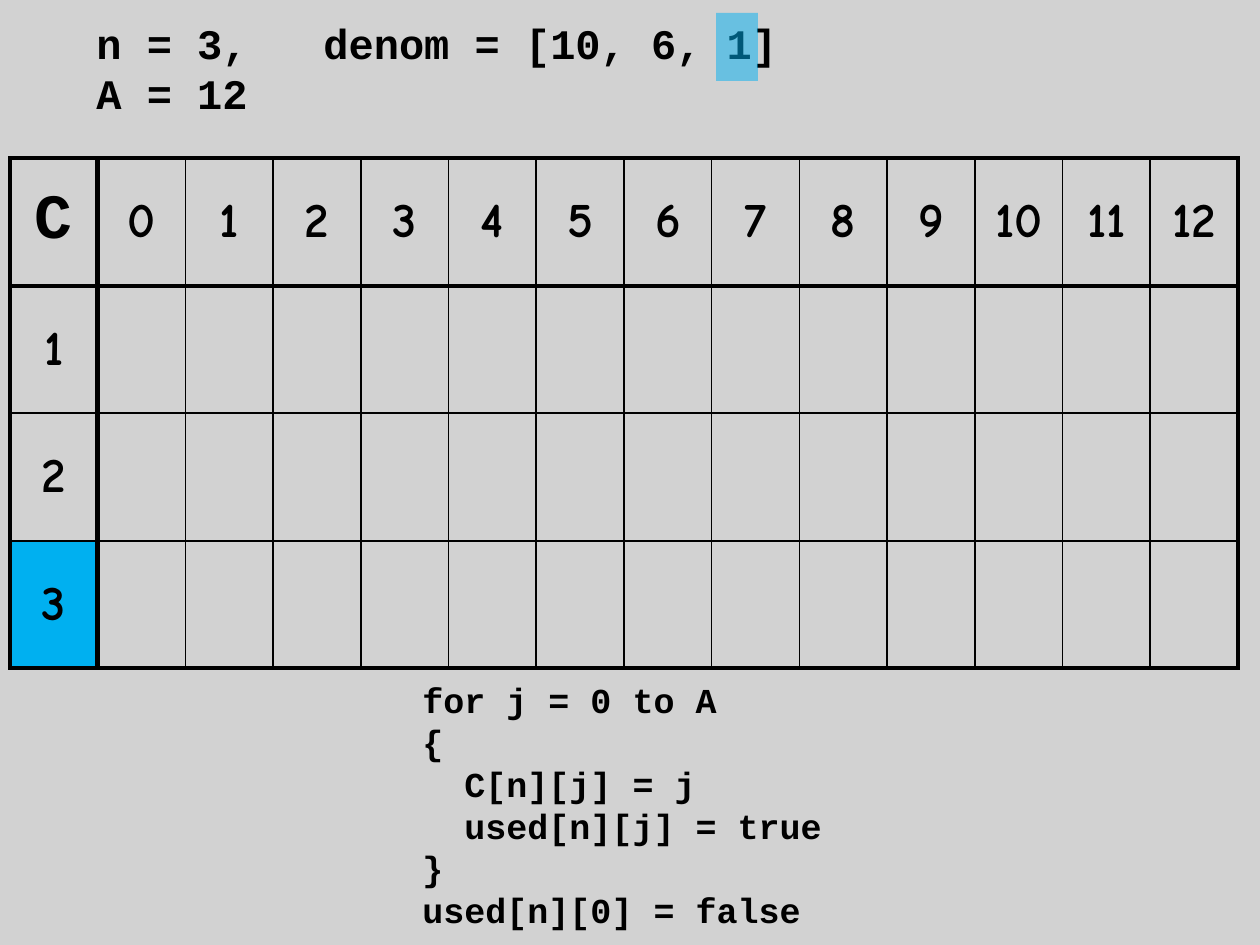
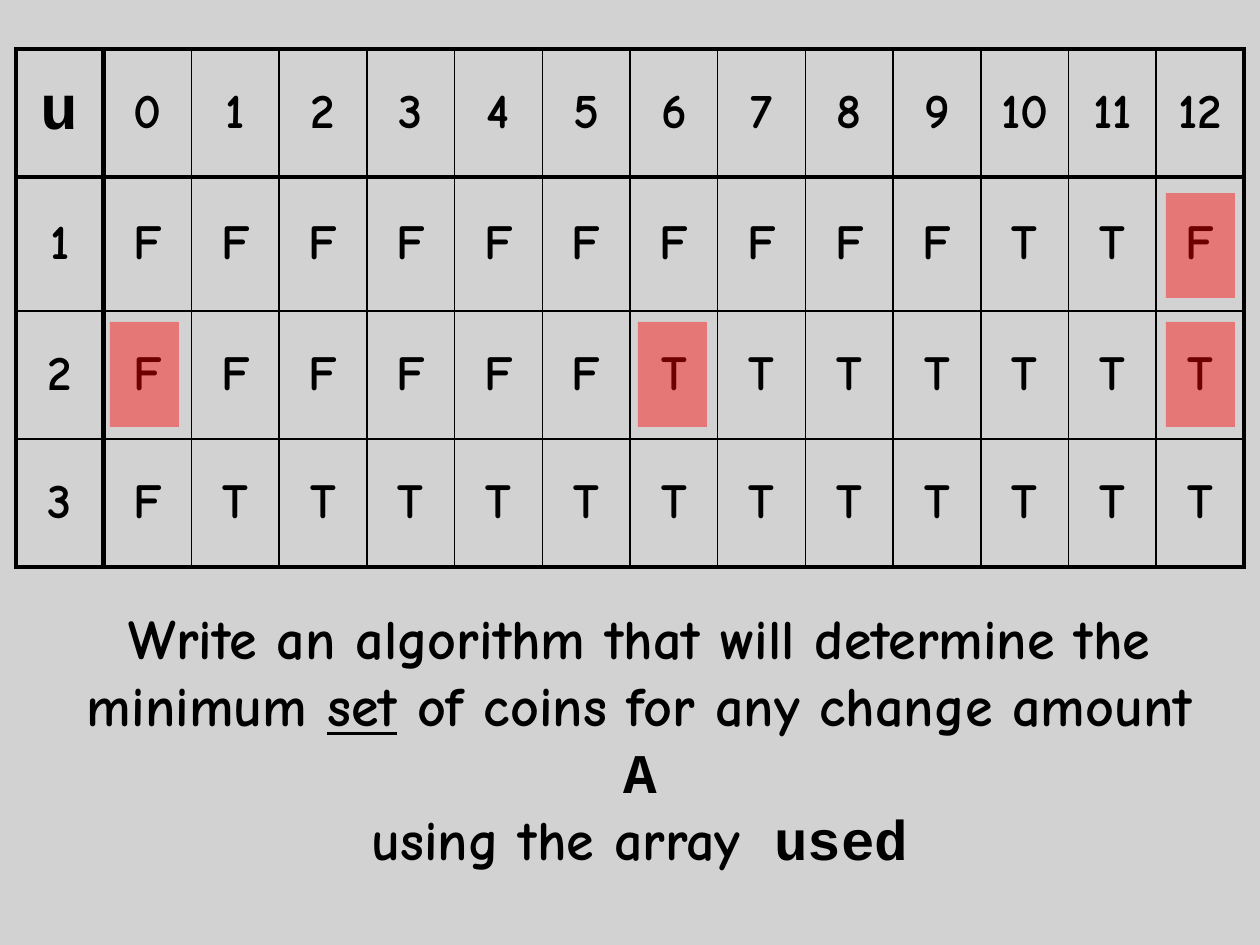
from lxml import etree
from pptx import Presentation
from pptx.dml.color import RGBColor
from pptx.enum.shapes import MSO_SHAPE
from pptx.enum.text import MSO_ANCHOR, MSO_AUTO_SIZE, PP_ALIGN
from pptx.oxml.ns import qn
from pptx.util import Emu, Pt

RECTANGLE = MSO_SHAPE.RECTANGLE
MIDDLE = MSO_ANCHOR.MIDDLE
FIT_TEXT = MSO_AUTO_SIZE.SHAPE_TO_FIT_TEXT
CENTER = PP_ALIGN.CENTER
LEFT = PP_ALIGN.LEFT

EMU_PER_PX = 914400 / 126
SLIDE_W, SLIDE_H = 1260, 945
BLANK_LAYOUT = 6

COLORS = {
    "backdrop": "C0C0C0",
    "ink": "000000",
    "current": "00B0F0",
    "visited": "FF0000",
}
CODE, HAND = "Courier New", "Comic Neue"

AMOUNTS = range(13)
GRID_W = 1228
OUTER, HEADER, INNER = 2.25, 3, 1


def px(length):
    return Emu(round(length * EMU_PER_PX))


def rgb(name):
    return RGBColor.from_string(COLORS[name])


def add_run(paragraph, text, font, size, **extra):
    run = paragraph.add_run()
    run.text = text
    style = {"name": font, "size": Pt(size), "bold": True, **extra}
    for attribute, value in style.items():
        setattr(run.font, attribute, value)
    run.font.color.rgb = rgb("ink")


def add_tint(slide, box, color, opacity):
    """Add a borderless rectangle whose opacity is given in percent."""
    tint = slide.shapes.add_shape(RECTANGLE, *map(px, box))
    tint.shadow.inherit = False
    tint.line.fill.background()
    tint.fill.solid()
    tint.fill.fore_color.rgb = rgb(color)
    fill_color = tint.fill._xPr.find(qn("a:solidFill"))[0]
    etree.SubElement(fill_color, qn("a:alpha"), val=str(opacity * 1000))


def add_text(slide, box, paragraphs, size, align=LEFT):
    """Each paragraph is a list of (text, font, extra font values)."""
    frame = slide.shapes.add_textbox(*map(px, box)).text_frame
    frame.word_wrap = True
    frame.auto_size = FIT_TEXT
    for index, pieces in enumerate(paragraphs):
        paragraph = frame.add_paragraph() if index else frame.paragraphs[0]
        paragraph.alignment = align
        for text, font, extra in pieces:
            add_run(paragraph, text, font, size, **extra)
    return frame


def code_lines(source):
    return [[(line, CODE, {})] for line in source.split("\n")]


def add_tab_stop(paragraph, position):
    stops = etree.SubElement(paragraph._p.get_or_add_pPr(), qn("a:tabLst"))
    etree.SubElement(stops, qn("a:tab"), pos=str(px(position)), algn="l")


def rule_widths(cells):
    """Widths of the rules around and between a number of cells."""
    return [OUTER, HEADER] + [INNER] * (cells - 2) + [OUTER]


def add_border(cell, side, width):
    line = etree.SubElement(cell._tc.get_or_add_tcPr(), qn(f"a:ln{side}"),
                            w=str(Pt(width)))
    fill = etree.SubElement(line, qn("a:solidFill"))
    etree.SubElement(fill, qn("a:srgbClr"), val=COLORS["ink"])


def add_coin_table(slide, left, top, heights, array_name, coin_rows, current=None):
    """Draw an array with one row a coin and one column an amount."""
    rows = [[array_name, *AMOUNTS]]
    rows += [[coin, *values] for coin, values in enumerate(coin_rows, 1)]
    columns = len(rows[0])
    table = slide.shapes.add_table(
        len(rows), columns, px(left), px(top), px(GRID_W), px(sum(heights))).table
    table.first_row = table.horz_banding = False
    for column in table.columns:
        column.width = px(GRID_W / columns)
    for row, height in zip(table.rows, heights):
        row.height = px(height)

    across, down = rule_widths(columns), rule_widths(len(rows))
    for r, values in enumerate(rows):
        for c, value in enumerate(values):
            cell = table.cell(r, c)
            cell.vertical_anchor = MIDDLE
            borders = {"L": across[c], "R": across[c + 1],
                       "T": down[r], "B": down[r + 1]}
            for side, width in borders.items():
                add_border(cell, side, width)
            if c == 0 and r == current:
                cell.fill.solid()
                cell.fill.fore_color.rgb = rgb("current")
            else:
                cell.fill.background()
            paragraph = cell.text_frame.paragraphs[0]
            paragraph.alignment = CENTER
            if value != "":
                font, size = (CODE, 36) if r == c == 0 else (HAND, 28)
                add_run(paragraph, str(value), font, size)


def add_slide(deck):
    slide = deck.slides.add_slide(deck.slide_layouts[BLANK_LAYOUT])
    add_tint(slide, (0, 0, SLIDE_W, SLIDE_H), "backdrop", 70)
    return slide


def build_last_coin(deck):
    slide = add_slide(deck)
    add_coin_table(slide, 10, 158, (128, 127, 128, 127), "C",
                   [[""] * len(AMOUNTS)] * 3, current=3)
    loop = ("for j = 0 to A\n{\n  C[n][j] = j\n  used[n][j] = true\n}\n"
            "used[n][0] = false")
    add_text(slide, (410, 672, 514, 267), code_lines(loop), 20)
    givens = "n = 3,\tdenom = [10, 6, 1]\nA = 12"
    frame = add_text(slide, (84, 11, 1113, 115), code_lines(givens), 24)
    add_tab_stop(frame.paragraphs[0], 227)
    add_tint(slide, (716, 13, 42, 68), "current", 50)


def build_used_array(deck):
    slide = add_slide(deck)
    used = ["FFFFFFFFFFTTF", "FFFFFFTTTTTTT", "FTTTTTTTTTTTT"]
    add_coin_table(slide, 16, 49, (128, 134, 128, 128), "u", used)
    for coin, amount in [(2, 12), (1, 12), (2, 6), (2, 0)]:
        box = (110 + 88 * amount, 193 + 129 * (coin - 1), 69, 105)
        add_tint(slide, box, "visited", 43)
    task = [
        [("Write an algorithm that will determine the minimum ", HAND, {}),
         ("set", HAND, {"underline": True}),
         (" of coins for any change amount ", HAND, {}),
         ("A", CODE, {})],
        [("using the array", HAND, {}), (" used", CODE, {})],
    ]
    add_text(slide, (73, 597, 1134, 285), task, 32, CENTER)


def main():
    deck = Presentation()
    deck.slide_width, deck.slide_height = px(SLIDE_W), px(SLIDE_H)
    build_last_coin(deck)
    build_used_array(deck)
    deck.save("out.pptx")


if __name__ == "__main__":
    main()
